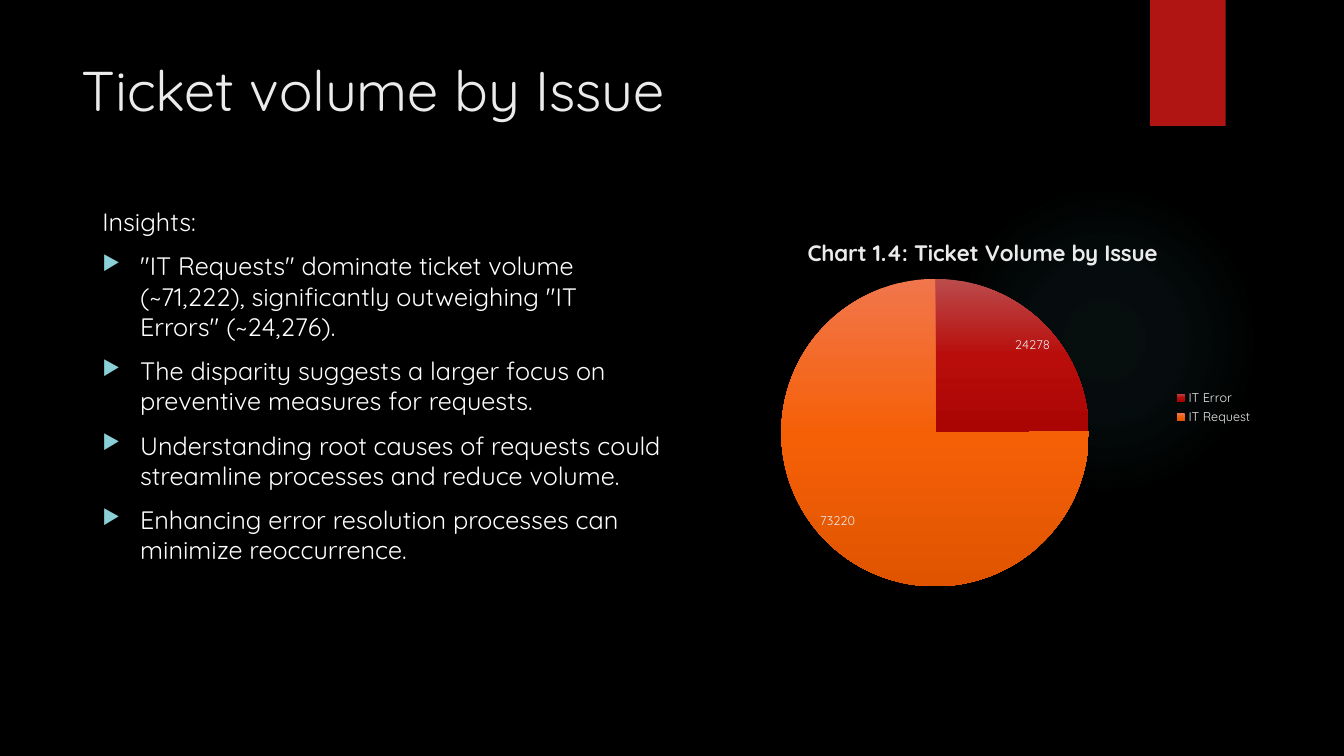
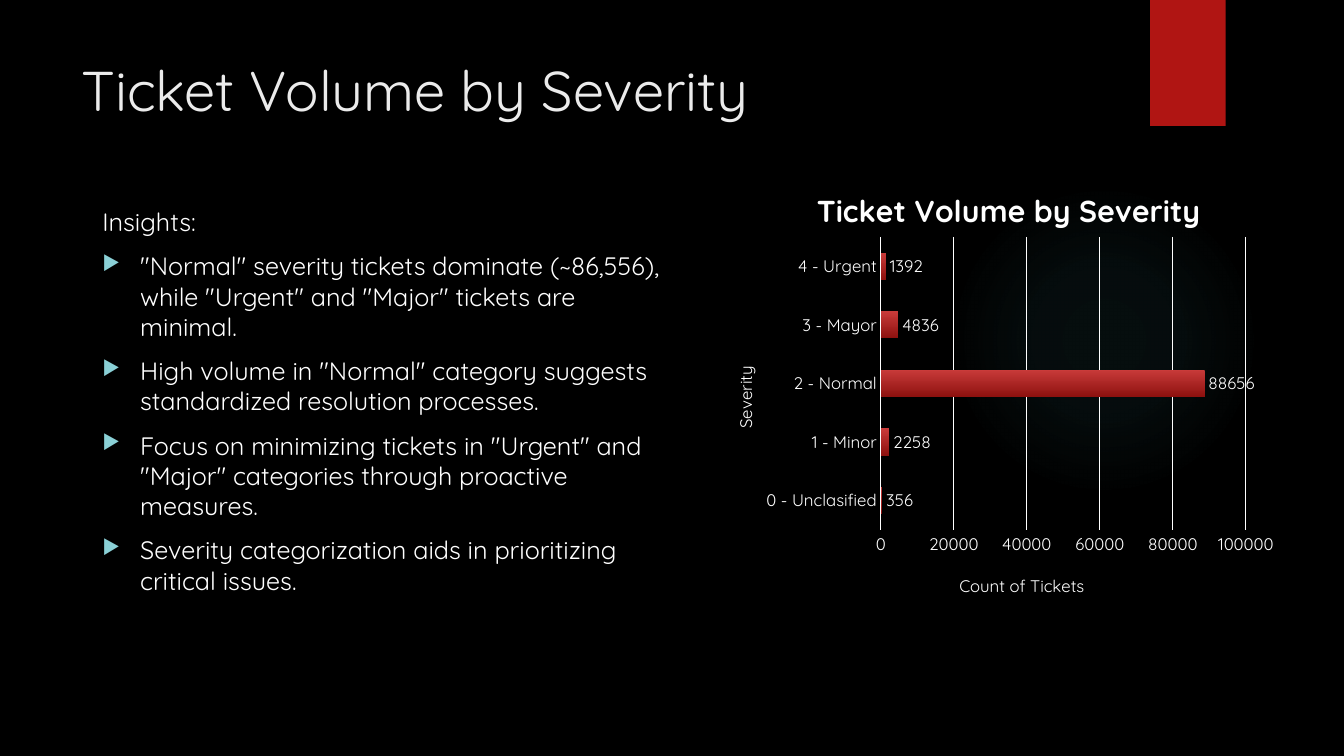
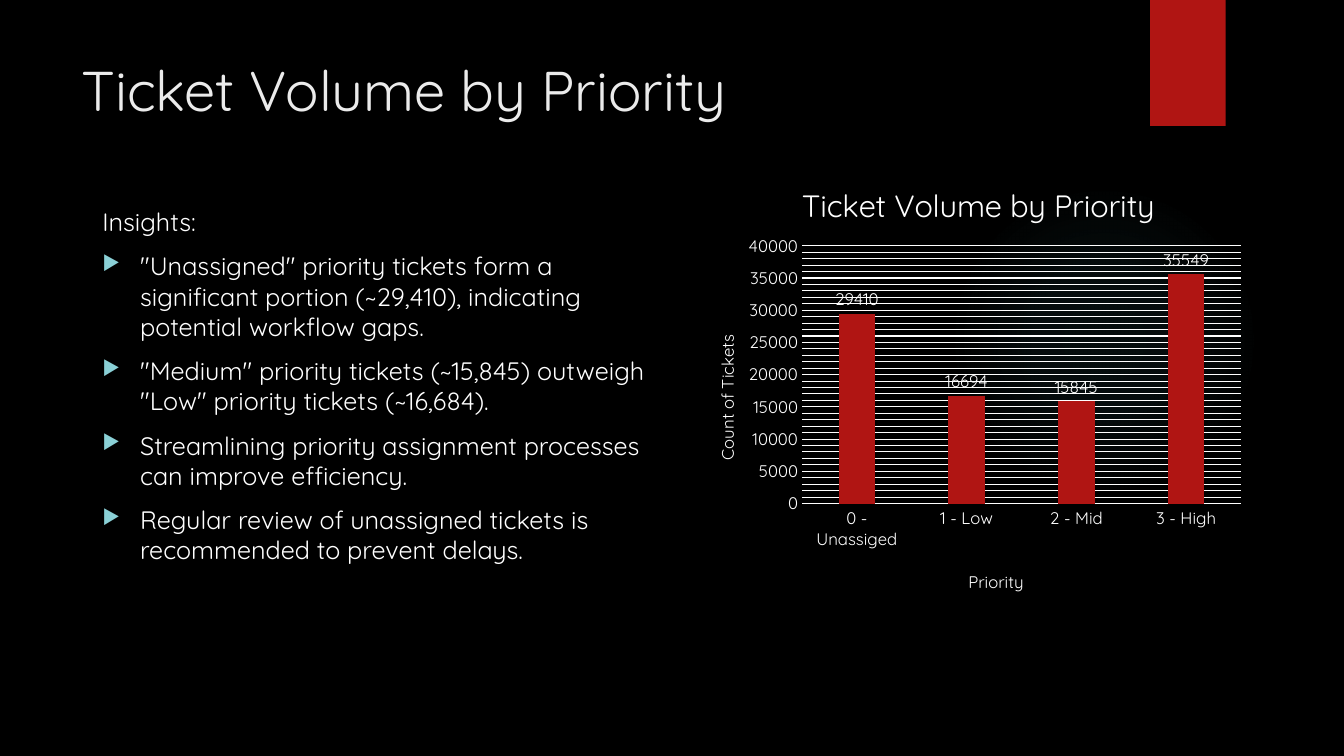
from copy import deepcopy

from pptx import Presentation
from pptx.chart.data import CategoryChartData
from pptx.dml.color import RGBColor
from pptx.enum.chart import XL_CHART_TYPE, XL_LABEL_POSITION, XL_LEGEND_POSITION, XL_TICK_MARK
from pptx.enum.shapes import MSO_SHAPE
from pptx.oxml import parse_xml
from pptx.oxml.ns import nsdecls
from pptx.util import Pt

FONT = "Quicksand"
BLACK = RGBColor(0x00, 0x00, 0x00)
WHITE = RGBColor(0xFF, 0xFF, 0xFF)
LIGHT = RGBColor(0xEB, 0xEB, 0xEB)
RED = RGBColor(0xB0, 0x15, 0x13)
TEAL = RGBColor(0x50, 0xB9, 0xC1)
PALE_TEAL = RGBColor(0x8A, 0xD0, 0xD6)

# Gradient stops: position, colour, opacity (all in percent)
GLOW = [(0, TEAL, 7), (36, TEAL, 6), (69, TEAL, 0)]
ERROR_SLICE = [(0, RGBColor(0xBB, 0x4C, 0x4C), 100), (50, RGBColor(0xB8, 0x0D, 0x0B), 100),
               (100, RGBColor(0xAA, 0x05, 0x03), 100)]
REQUEST_SLICE = [(0, RGBColor(0xF1, 0x76, 0x4C), 100), (50, RGBColor(0xF5, 0x60, 0x07), 100),
                 (100, RGBColor(0xE0, 0x54, 0x00), 100)]
SEVERITY_BAR = [(0, RGBColor(0xC9, 0x3B, 0x3A), 100), (100, RGBColor(0x8D, 0x11, 0x0F), 100)]

# Boxes in points: left, top, width, height
TITLE_BOX = (51, 36, 741, 110)
INSIGHTS_BOX = (66, 144, 414, 343)
ISSUE_BOX = (502, 152, 400, 278)
SEVERITY_BOX = (505, 114.5, 414, 322)
PRIORITY_BOX = (492.5, 111, 402, 323)


def in_points(box):
    return [Pt(length) for length in box]


def style_font(font, size, color, bold=False):
    font.name = FONT
    font.size = Pt(size)
    font.bold = bold
    font.color.rgb = color


def write_gradient(gradient, stops, radial=False):
    """Replace the content of a gradFill element."""
    for child in list(gradient):
        gradient.remove(child)
    stop_xml = "".join(
        f'<a:gs pos="{position * 1000}"><a:srgbClr val="{color}">'
        f'<a:alpha val="{opacity * 1000}"/></a:srgbClr></a:gs>'
        for position, color, opacity in stops)
    gradient.append(parse_xml(f'<a:gsLst {nsdecls("a")}>{stop_xml}</a:gsLst>'))
    if radial:
        direction = (f'<a:path {nsdecls("a")} path="circle">'
                     '<a:fillToRect l="50000" t="50000" r="50000" b="50000"/></a:path>')
    else:
        direction = f'<a:lin {nsdecls("a")} ang="5400000" scaled="0"/>'
    gradient.append(parse_xml(direction))


# Parts shared by all slides
def add_plain_shape(slide, kind, box):
    shape = slide.shapes.add_shape(kind, *in_points(box))
    shape.shadow.inherit = False
    shape.line.fill.background()
    return shape


def add_backdrop(slide):
    glow = add_plain_shape(slide, MSO_SHAPE.OVAL, (677.5, 132, 222, 222))
    glow.fill.gradient()
    write_gradient(glow.element.xpath(".//a:gradFill")[0], GLOW, radial=True)
    band = add_plain_shape(slide, MSO_SHAPE.RECTANGLE, (821.5, 0, 54, 90))
    band.fill.solid()
    band.fill.fore_color.rgb = RED


def add_text_frame(slide, box):
    frame = slide.shapes.add_textbox(*in_points(box)).text_frame
    frame.word_wrap = True
    return frame


def add_title(slide, box, title):
    frame = add_text_frame(slide, box)
    frame.text = title
    style_font(frame.paragraphs[0].runs[0].font, 40, LIGHT)


def add_insights(slide, box, insights):
    frame = add_text_frame(slide, box)
    frame.text = "\n".join(["Insights:"] + insights)
    for index, paragraph in enumerate(frame.paragraphs):
        paragraph.space_before = Pt(10)
        style_font(paragraph.runs[0].font, 18, WHITE)
        if index:
            add_bullet(paragraph)


def add_bullet(paragraph):
    properties = paragraph._p.get_or_add_pPr()
    properties.set("marL", str(Pt(27)))
    properties.set("indent", str(-Pt(27)))
    for bullet_xml in (f'<a:buClr {nsdecls("a")}><a:srgbClr val="{PALE_TEAL}"/></a:buClr>',
                       f'<a:buSzPct {nsdecls("a")} val="80000"/>',
                       f'<a:buChar {nsdecls("a")} char="▶"/>'):
        properties.append(parse_xml(bullet_xml))


# Chart parts
def place(element, left, top, width=None, height=None):
    """Give a chart title or the plot area a place, as fractions of the chart."""
    for layout in element.xpath("./c:layout"):
        element.remove(layout)
    target = '<c:layoutTarget val="inner"/>' if width else ""
    size = f'<c:w val="{width}"/><c:h val="{height}"/>' if width else ""
    layout = parse_xml(
        f'<c:layout {nsdecls("c")}><c:manualLayout>{target}'
        '<c:xMode val="edge"/><c:yMode val="edge"/>'
        f'<c:x val="{left}"/><c:y val="{top}"/>{size}</c:manualLayout></c:layout>')
    texts = element.xpath("./c:tx")
    if texts:
        texts[0].addnext(layout)
    else:
        element.insert(0, layout)


def set_chart_text(title, text, size, color, position, bold=False):
    title.text_frame.text = text
    style_font(title.text_frame.paragraphs[0].runs[0].font, size, color, bold)
    place(title._element, *position)


def add_chart(slide, box, kind, values, plot_area):
    data = CategoryChartData(number_format="0")
    data.categories = list(values)
    data.add_series("Series 1", list(values.values()))
    chart = slide.shapes.add_chart(kind, *in_points(box), data).chart
    style_font(chart.font, 10, WHITE)
    chart.has_legend = False
    place(chart._chartSpace.xpath(".//c:plotArea")[0], *plot_area)
    return chart


def show_values(plot, size, color, position):
    plot.has_data_labels = True
    labels = plot.data_labels
    labels.show_value = True
    labels.number_format = "0"
    labels.number_format_is_linked = False
    labels.position = position
    style_font(labels.font, size, color)


def style_line(line, width):
    line.color.rgb = WHITE
    line.width = Pt(width)


def style_axes(chart, category_title, category_place, value_place, maximum, step):
    category, value = chart.category_axis, chart.value_axis
    for axis, text, position in ((category, category_title, category_place),
                                 (value, "Count of Tickets", value_place)):
        set_chart_text(axis.axis_title, text, 12, WHITE, position)
        axis.major_tick_mark = axis.minor_tick_mark = XL_TICK_MARK.NONE
        style_font(axis.tick_labels.font, 12, WHITE)
    style_line(category.format.line, 0.75)
    value.format.line.fill.background()
    value.minimum_scale, value.maximum_scale, value.major_unit = 0, maximum, step
    style_line(value.major_gridlines.format.line, 0.75)


def add_minor_gridlines(axis, step):
    """Draw minor gridlines in the style of the major ones."""
    axis.minor_unit = step
    axis.has_minor_gridlines = True
    style = axis._element.xpath("./c:majorGridlines/c:spPr")[0]
    axis._element.xpath("./c:minorGridlines")[0].append(deepcopy(style))


def add_issue_chart(slide, box):
    chart = add_chart(slide, box, XL_CHART_TYPE.PIE,
                      {"IT Error": 24278, "IT Request": 73220}, (0.14, 0.17, 0.55, 0.79))
    set_chart_text(chart.chart_title, "Chart 1.4: Ticket Volume by Issue", 16, LIGHT,
                   (0.18, 0.05), bold=True)
    chart.has_legend = True
    chart.legend.position = XL_LEGEND_POSITION.RIGHT
    chart.legend.include_in_layout = False
    style_font(chart.legend.font, 9, LIGHT)
    plot = chart.plots[0]
    show_values(plot, 9, LIGHT, XL_LABEL_POSITION.BEST_FIT)
    series = plot.series[0]
    for index, stops in enumerate((ERROR_SLICE, REQUEST_SLICE)):
        series.points[index].format.fill.gradient()
        write_gradient(series._element.xpath("./c:dPt//a:gradFill")[index], stops)


def add_severity_chart(slide, box):
    values = {"0 - Unclasified": 356, "1 - Minor": 2258, "2 - Normal": 88656,
              "3 - Mayor": 4836, "4 - Urgent": 1392}
    chart = add_chart(slide, box, XL_CHART_TYPE.BAR_CLUSTERED, values, (0.3, 0.17, 0.63, 0.65))
    set_chart_text(chart.chart_title, "Ticket Volume by Severity", 21.6, WHITE,
                   (0.18, 0.05), bold=True)
    style_axes(chart, "Severity", (0.04, 0.45), (0.43, 0.91), 100000, 20000)
    plot = chart.plots[0]
    plot.gap_width, plot.overlap, plot.vary_by_categories = 115, -20, False
    show_values(plot, 12, WHITE, XL_LABEL_POSITION.OUTSIDE_END)
    series = plot.series[0]
    series.format.fill.gradient()
    write_gradient(series._element.xpath("./c:spPr/a:gradFill")[0], SEVERITY_BAR)


def add_priority_chart(slide, box):
    values = {"0 - Unassiged": 29410, "1 - Low": 16694, "2 - Mid": 15845, "3 - High": 35549}
    chart = add_chart(slide, box, XL_CHART_TYPE.COLUMN_CLUSTERED, values, (0.2, 0.2, 0.78, 0.57))
    set_chart_text(chart.chart_title, "Ticket Volume by Priority", 22, WHITE, (0.19, 0.05))
    style_axes(chart, "Priority", (0.49, 0.91), (0.04, 0.39), 40000, 5000)
    add_minor_gridlines(chart.value_axis, 1000)
    plot = chart.plots[0]
    plot.gap_width, plot.vary_by_categories = 199, False
    show_values(plot, 12, WHITE, XL_LABEL_POSITION.OUTSIDE_END)
    fill = plot.series[0].format.fill
    fill.solid()
    fill.fore_color.rgb = RED


# Slide content: title, chart function, chart box, insights
SLIDES = [
    ("Ticket volume by Issue", add_issue_chart, ISSUE_BOX, [
        '"IT Requests" dominate ticket volume (~71,222), significantly outweighing "IT Errors" (~24,276).',
        "The disparity suggests a larger focus on preventive measures for requests.",
        "Understanding root causes of requests could streamline processes and reduce volume.",
        "Enhancing error resolution processes can minimize reoccurrence."]),
    ("Ticket Volume by Severity", add_severity_chart, SEVERITY_BOX, [
        '"Normal" severity tickets dominate (~86,556), while "Urgent" and "Major" tickets are minimal.',
        'High volume in "Normal" category suggests standardized resolution processes.',
        'Focus on minimizing tickets in "Urgent" and "Major" categories through proactive measures.',
        "Severity categorization aids in prioritizing critical issues."]),
    ("Ticket Volume by Priority", add_priority_chart, PRIORITY_BOX, [
        '"Unassigned" priority tickets form a significant portion (~29,410), indicating potential workflow gaps.',
        '"Medium" priority tickets (~15,845) outweigh "Low" priority tickets (~16,684).',
        "Streamlining priority assignment processes can improve efficiency.",
        "Regular review of unassigned tickets is recommended to prevent delays."]),
]


def main():
    presentation = Presentation()
    presentation.slide_width, presentation.slide_height = Pt(960), Pt(540)
    background = presentation.slide_master.background.fill
    background.solid()
    background.fore_color.rgb = BLACK
    for title, add_slide_chart, chart_box, insights in SLIDES:
        slide = presentation.slides.add_slide(presentation.slide_layouts[6])
        add_backdrop(slide)
        add_title(slide, TITLE_BOX, title)
        add_insights(slide, INSIGHTS_BOX, insights)
        add_slide_chart(slide, chart_box)
    presentation.save("out.pptx")


if __name__ == "__main__":
    main()
